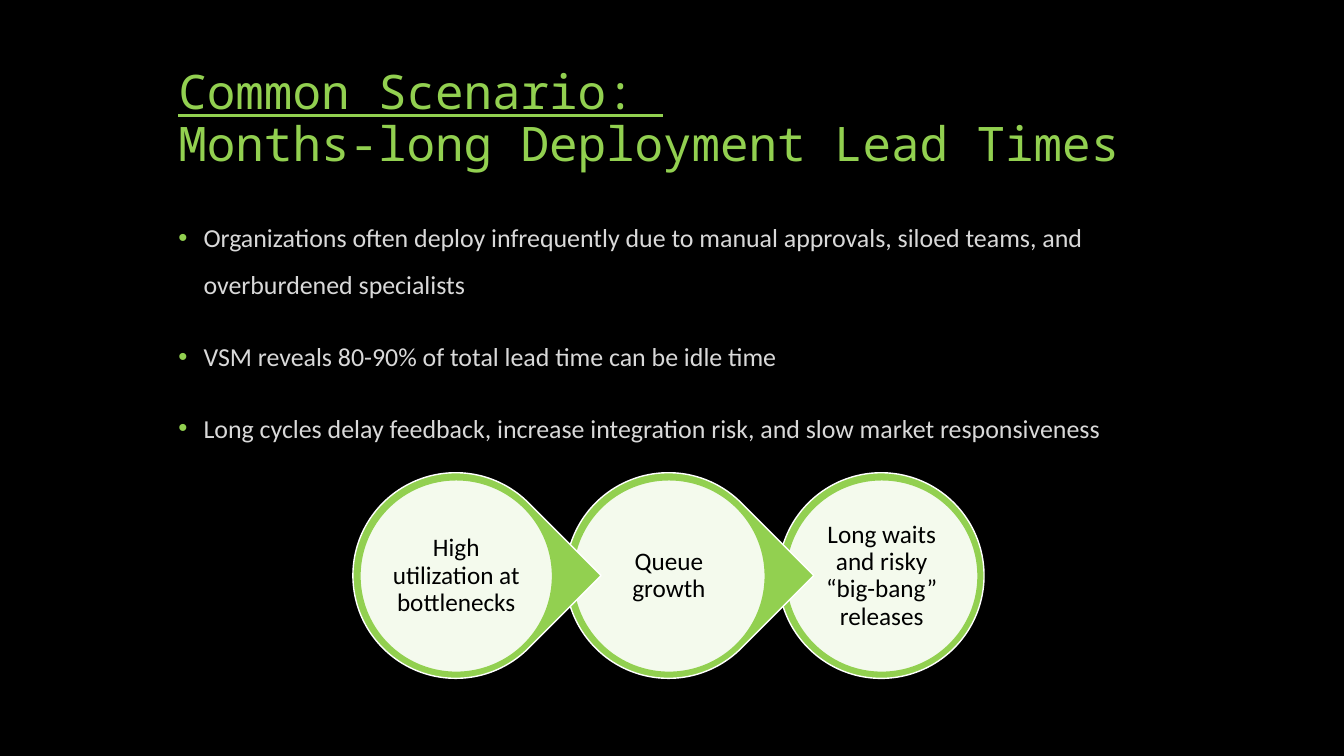
from lxml.etree import SubElement
from pptx import Presentation
from pptx.dml.color import RGBColor
from pptx.enum.shapes import MSO_SHAPE
from pptx.enum.text import MSO_ANCHOR, MSO_AUTO_SIZE, PP_ALIGN
from pptx.oxml.ns import qn
from pptx.util import Pt

PX = 9144  # EMU per px, 100 px to the inch
GREEN, WHITE, GREY, BLACK = "92D050", "FFFFFF", "D9D9D9", "000000"


def color(hex_string):
    return RGBColor.from_string(hex_string)


def add_run(paragraph, text, font, size, hex_string):
    run = paragraph.add_run()
    run.text = text
    run.font.name = font
    run.font.size = Pt(size)
    run.font.color.rgb = color(hex_string)
    return run


presentation = Presentation()
presentation.slide_width = 1333 * PX
presentation.slide_height = 750 * PX
slide = presentation.slides.add_slide(presentation.slide_layouts[5])
slide.background.fill.solid()
slide.background.fill.fore_color.rgb = color(BLACK)

# Title
title = slide.shapes.title
title.left, title.top, title.width, title.height = 167 * PX, 50 * PX, 1000 * PX, 125 * PX
title.text_frame.auto_size = MSO_AUTO_SIZE.NONE
title.text_frame.vertical_anchor = MSO_ANCHOR.BOTTOM
heading = title.text_frame.paragraphs[0]
heading.alignment = PP_ALIGN.LEFT
heading.line_spacing = 0.9
add_run(heading, "Common Scenario: ", "Noto Sans Mono", 34, GREEN).font.underline = True
heading.add_line_break()
add_run(heading, "Months-long Deployment Lead Times", "Noto Sans Mono", 34, GREEN)

# Bulleted observations
observations = [
    "Organizations often deploy infrequently due to manual approvals, siloed teams, and overburdened specialists",
    "VSM reveals 80-90% of total lead time can be idle time",
    "Long cycles delay feedback, increase integration risk, and slow market responsiveness",
]
body = slide.shapes.add_textbox(167 * PX, 200 * PX, 1008 * PX, 283 * PX).text_frame
body.word_wrap = True
for index, observation in enumerate(observations):
    bullet = body.add_paragraph() if index else body.paragraphs[0]
    bullet.line_spacing = 1.5
    bullet.space_before = Pt(18)
    add_run(bullet, observation, "Calibri", 18.5, GREY)
    properties = bullet._p.get_or_add_pPr()
    properties.set("marL", str(25 * PX))
    properties.set("indent", str(-25 * PX))
    bullet_color = SubElement(properties, qn("a:buClr"))
    SubElement(bullet_color, qn("a:srgbClr"), val=GREEN)
    SubElement(properties, qn("a:buFont"), typeface="Arial")
    SubElement(properties, qn("a:buChar"), char="•")

# Chain of stages, drawn from the last so each drop points over the next
stages = [
    "High utilization at bottlenecks",
    "Queue growth",
    "Long waits and risky “big-bang” releases",
]
CHAIN_LEFT, CHAIN_TOP, STEP = 350, 469, 211
OUTER, INNER, RIM = 204, 191, 7
for index, stage in reversed(list(enumerate(stages))):
    left = CHAIN_LEFT + index * STEP
    is_last = index == len(stages) - 1
    drop = slide.shapes.add_shape(
        MSO_SHAPE.OVAL if is_last else MSO_SHAPE.TEAR,
        left * PX, CHAIN_TOP * PX, OUTER * PX, OUTER * PX)
    drop.rotation = 0 if is_last else 45
    disc = slide.shapes.add_shape(
        MSO_SHAPE.OVAL, (left + RIM) * PX, (CHAIN_TOP + RIM) * PX, INNER * PX, INNER * PX)
    for shape, fill, line in ((drop, GREEN, WHITE), (disc, WHITE, GREEN)):
        shape.shadow.inherit = False
        shape.fill.solid()
        shape.fill.fore_color.rgb = color(fill)
        shape.line.color.rgb = color(line)
        shape.line.width = Pt(1)
    disc_color = disc._element.spPr.find(qn("a:solidFill")).find(qn("a:srgbClr"))
    SubElement(disc_color, qn("a:alpha"), val="90000")

    label = disc.text_frame
    label.word_wrap = True
    label.vertical_anchor = MSO_ANCHOR.MIDDLE
    label.margin_left = label.margin_right = label.margin_top = label.margin_bottom = 3 * PX
    caption = label.paragraphs[0]
    caption.alignment = PP_ALIGN.CENTER
    caption.line_spacing = 0.9
    add_run(caption, stage, "Calibri", 18, BLACK)

presentation.save("out.pptx")
